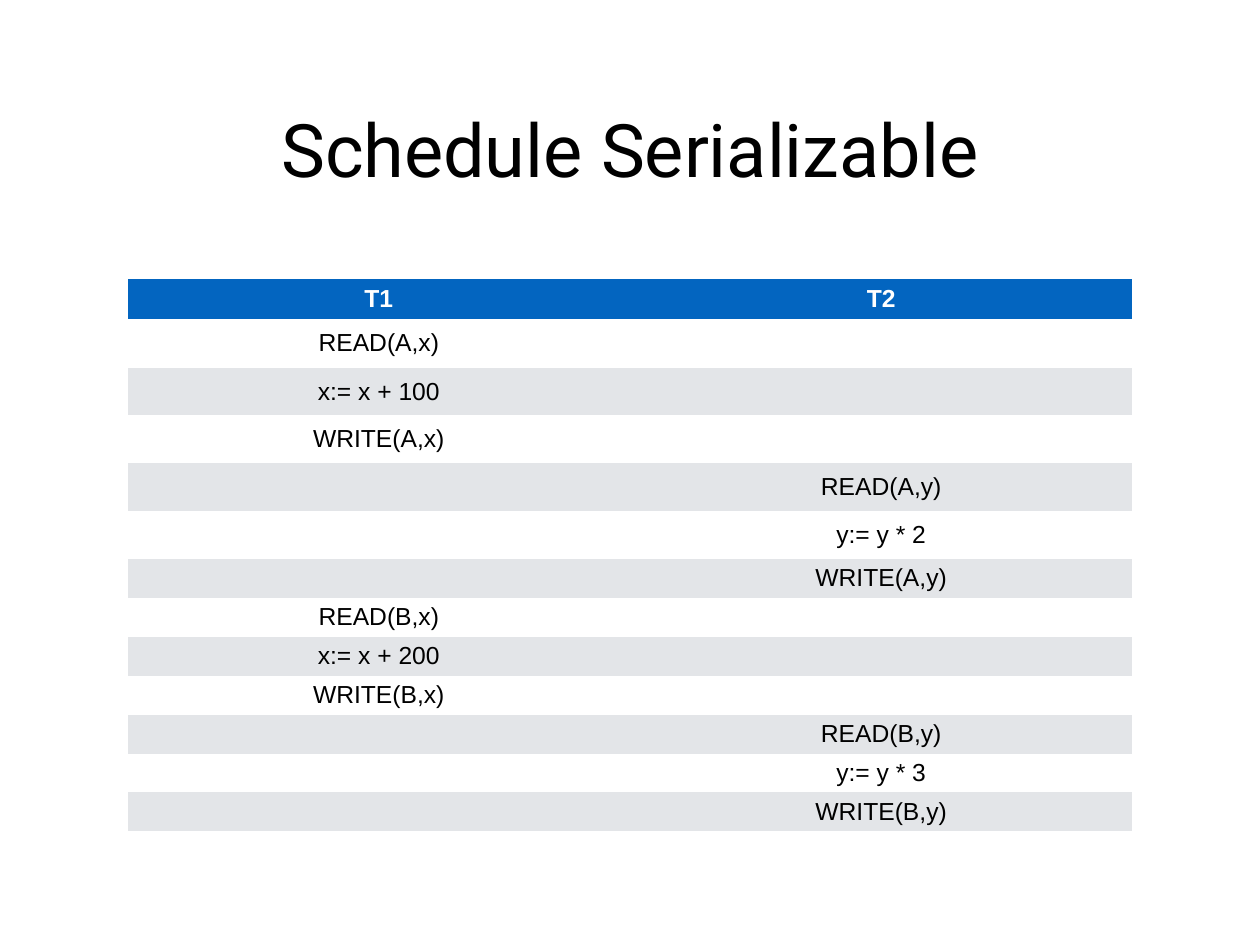
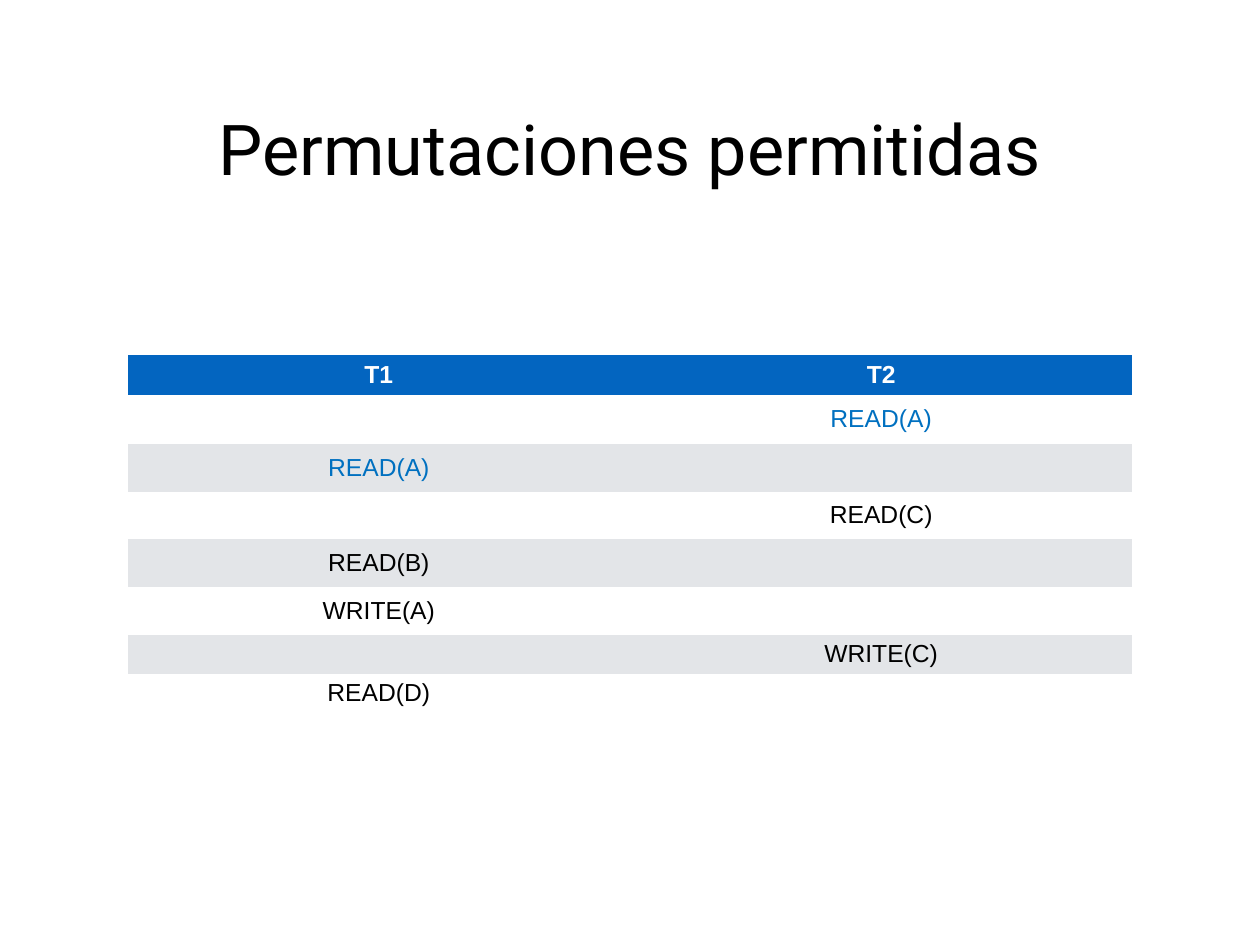
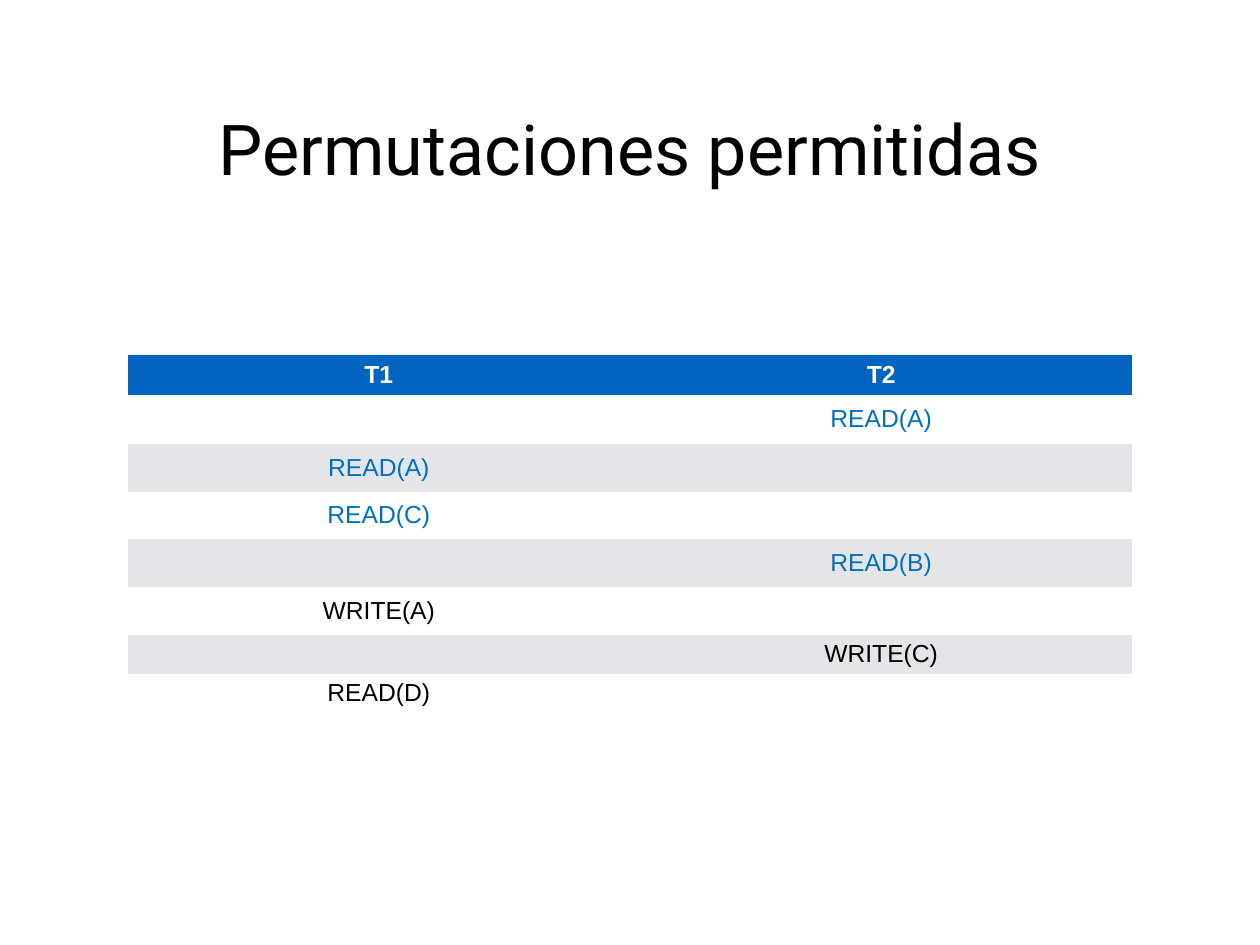
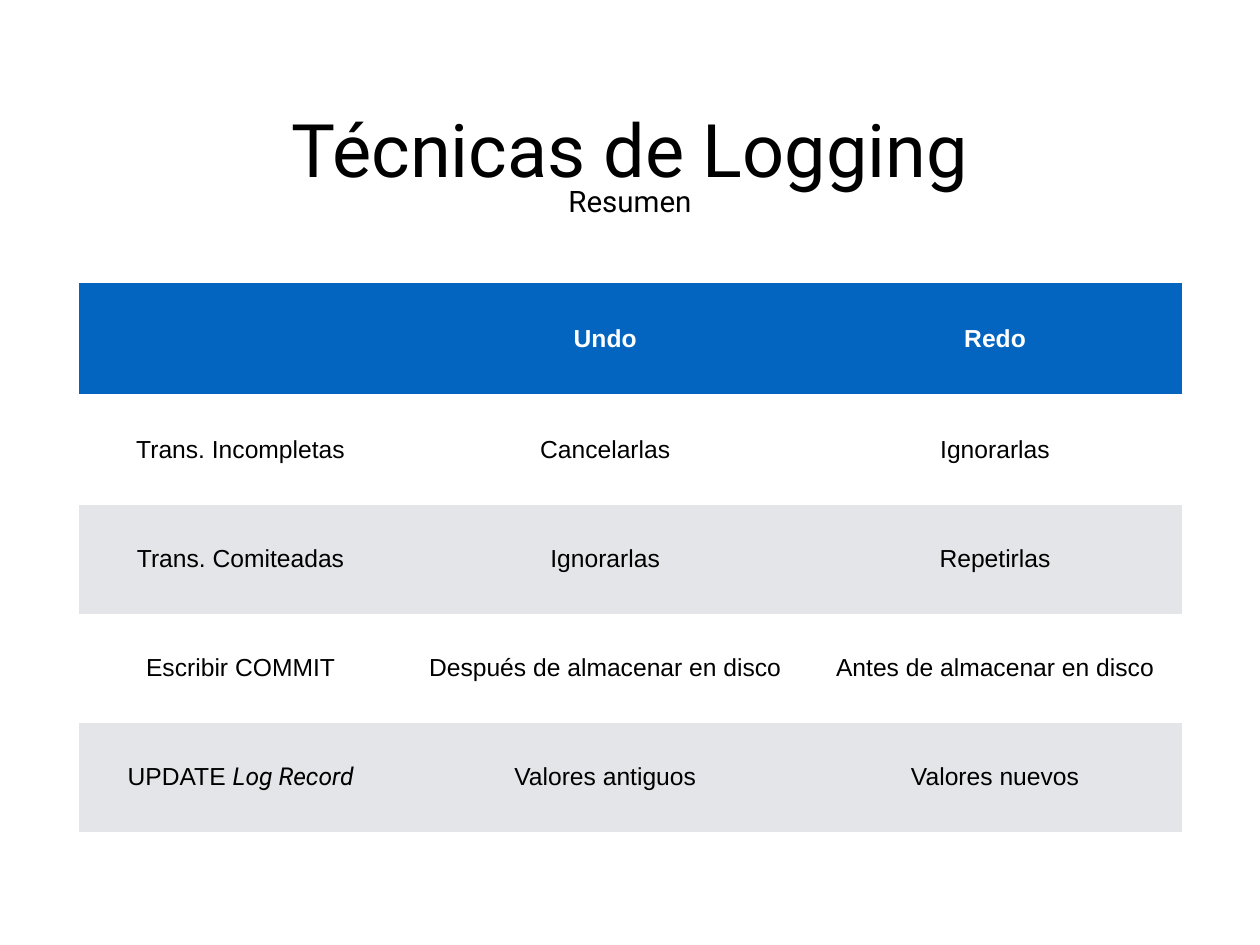
from pptx import Presentation
from pptx import util as u
from pptx.dml import color
from pptx.enum import text

BLUE, LINK, GRAY = "0365C0", "0070C0", "E3E5E8"
WHITE, BLACK = "FFFFFF", "000000"
PLAIN = "{2D5ABB26-0587-4C30-8999-92F81FD0307C}"
WIDE, HIGH = 14.22, 10.67


def rgb(code):
    return color.RGBColor.from_string(code)


class Deck:
    head = "Roboto"
    body = "Arial"
    pad = 0.06

    def __init__(self):
        self.prs = Presentation()
        self.prs.slide_width = u.Inches(WIDE)
        self.prs.slide_height = u.Inches(HIGH)
        self.slide = None

    def style(self, para, name, size, code, bold=False):
        para.alignment = text.PP_ALIGN.CENTER
        font = para.font
        font.name = name
        font.size = u.Pt(size)
        font.bold = bold
        font.color.rgb = rgb(code)

    def inset(self, item):
        item.margin_left = item.margin_right = u.Inches(self.pad)
        item.margin_top = item.margin_bottom = u.Inches(self.pad)
        item.vertical_anchor = text.MSO_ANCHOR.MIDDLE

    def label(self, shape, words, size):
        frame = shape.text_frame
        frame.text = words
        frame.word_wrap = False
        frame.auto_size = text.MSO_AUTO_SIZE.NONE
        self.inset(frame)
        self.style(frame.paragraphs[0], self.head, size, BLACK)

    def title(self, words, width, size=60, height=1.09):
        self.slide = self.prs.slides.add_slide(self.prs.slide_layouts[5])
        shape = self.slide.shapes.title
        shape.left = u.Inches((WIDE - width) / 2)
        shape.top = u.Inches(1.67 - height / 2)
        shape.width = u.Inches(width)
        shape.height = u.Inches(height)
        self.label(shape, words, size)

    def note(self, words, top, width, height):
        left = (WIDE - width) / 2
        box = self.slide.shapes.add_textbox(
            u.Inches(left), u.Inches(top), u.Inches(width), u.Inches(height))
        self.label(box, words, 24)

    def cell(self, cell, words, fill, ink, bold):
        cell.fill.solid()
        cell.fill.fore_color.rgb = rgb(fill)
        self.inset(cell)
        para = cell.text_frame.paragraphs[0]
        self.style(para, self.body, 20, ink, bold)
        start, _, term = words.partition("|")
        if start:
            para.add_run().text = start
        if term:
            run = para.add_run()
            run.text = term
            run.font.name = self.head
            run.font.italic = True

    def table(self, rows, left, top, cols, tall, marked=()):
        frame = self.slide.shapes.add_table(
            len(rows), len(cols), u.Inches(left), u.Inches(top),
            u.Inches(sum(cols)), u.Inches(sum(tall)))
        grid = frame.table
        grid.horz_banding = False
        grid._tbl.tblPr[0].text = PLAIN
        for col, width in zip(grid.columns, cols):
            col.width = u.Inches(width)
        for i, (row, height) in enumerate(zip(rows, tall)):
            grid.rows[i].height = u.Inches(height)
            first = i == 0
            fill = BLUE if first else WHITE if i % 2 else GRAY
            ink = WHITE if first else LINK if i in marked else BLACK
            for j, words in enumerate(row):
                self.cell(grid.cell(i, j), words, fill, ink, first)

    def plan(self, steps, top, marked=()):
        rows = [("T1", "T2")]
        rows += [(s, "") if t == 1 else ("", s) for t, s in steps]
        tall = [0.45, 0.55] + [0.54] * 4 + [0.44] * (len(steps) - 5)
        self.table(rows, 1.44, top, [5.67] * 2, tall, marked)


def main():
    deck = Deck()

    deck.title("Schedule Serializable", 8.18)
    deck.plan([
        (1, "READ(A,x)"), (1, "x:= x + 100"), (1, "WRITE(A,x)"),
        (2, "READ(A,y)"), (2, "y:= y * 2"), (2, "WRITE(A,y)"),
        (1, "READ(B,x)"), (1, "x:= x + 200"), (1, "WRITE(B,x)"),
        (2, "READ(B,y)"), (2, "y:= y * 3"), (2, "WRITE(B,y)"),
    ], 3.15)

    start = [(2, "READ(A)"), (1, "READ(A)")]
    end = [(1, "WRITE(A)"), (2, "WRITE(C)"), (1, "READ(D)")]
    swaps = [
        ([(2, "READ(C)"), (1, "READ(B)")], (1, 2)),
        ([(1, "READ(C)"), (2, "READ(B)")], (1, 2, 3, 4)),
    ]
    for middle, marked in swaps:
        deck.title("Permutaciones permitidas", 9.48, 57, 1.03)
        deck.plan(start + middle + end, 4.01, marked)

    deck.title("Técnicas de Logging", 7.95)
    deck.note("Resumen", 2.02, 1.53, 0.5)
    deck.table([
        ("", "Undo", "Redo"),
        ("Trans. Incompletas", "Cancelarlas", "Ignorarlas"),
        ("Trans. Comiteadas", "Ignorarlas", "Repetirlas"),
        ("Escribir COMMIT", "Después de almacenar en disco",
         "Antes de almacenar en disco"),
        ("UPDATE |Log Record", "Valores antiguos", "Valores nuevos"),
    ], 0.89, 3.2, [3.65, 4.58, 4.22], [1.25] * 2 + [1.23] * 3)

    deck.prs.save("out.pptx")


if __name__ == "__main__":
    main()
